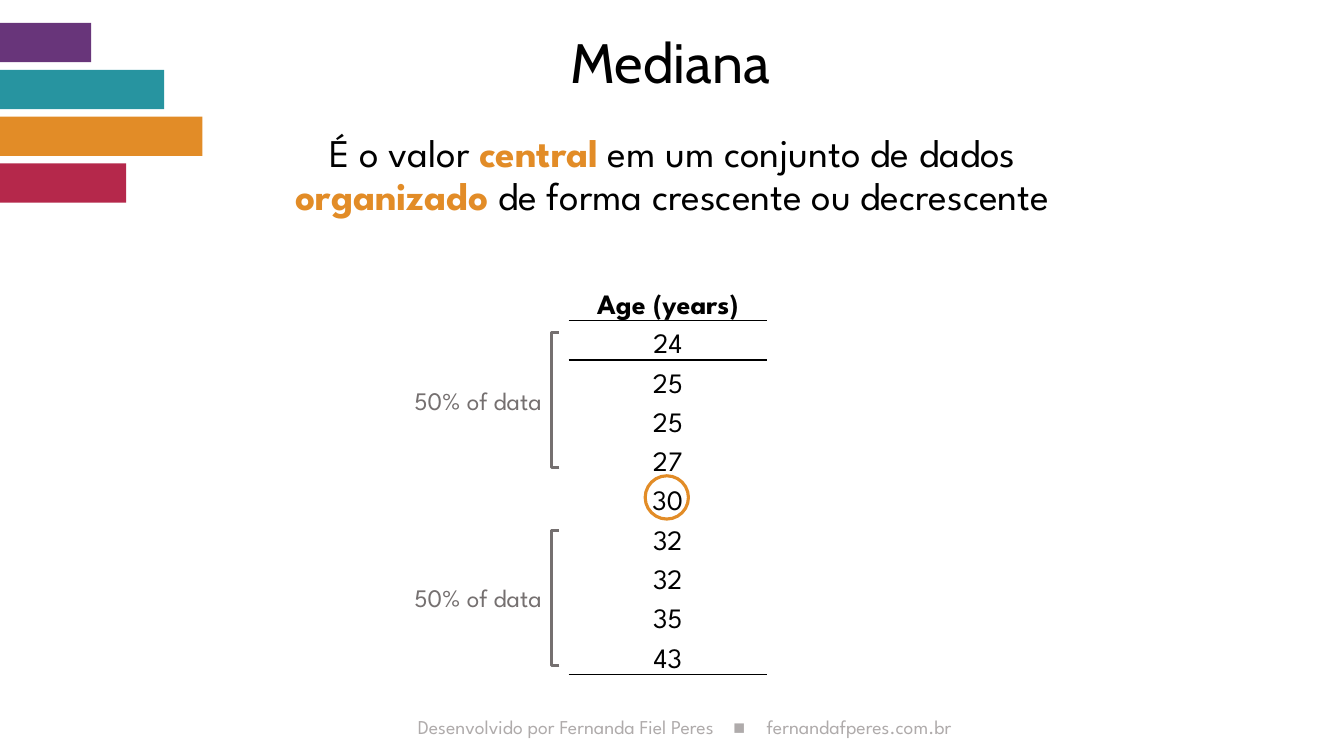
from lxml import etree
from pptx import Presentation
from pptx.dml.color import RGBColor
from pptx.enum.shapes import MSO_SHAPE
from pptx.enum.text import MSO_ANCHOR, PP_ALIGN
from pptx.oxml.ns import qn
from pptx.util import Cm, Pt

RECT, OVAL, BRACE = MSO_SHAPE.RECTANGLE, MSO_SHAPE.OVAL, MSO_SHAPE.LEFT_BRACKET
LEFT, MID, RIGHT = PP_ALIGN.LEFT, PP_ALIGN.CENTER, PP_ALIGN.RIGHT
TOP, CENTRE, BASE = MSO_ANCHOR.TOP, MSO_ANCHOR.MIDDLE, MSO_ANCHOR.BOTTOM

BLACK = RGBColor(0x00, 0x00, 0x00)
GREY = RGBColor(0x75, 0x70, 0x70)
PALE = RGBColor(0xAF, 0xAB, 0xAB)
PURPLE = RGBColor(0x68, 0x35, 0x7A)
TEAL = RGBColor(0x27, 0x94, 0xA0)
ORANGE = RGBColor(0xE2, 0x8C, 0x27)
RED = RGBColor(0xB5, 0x28, 0x4B)

SPARTAN = "League Spartan"
PLAIN_STYLE = "{2D5ABB26-0587-4C30-8999-92F81FD0307C}"

# Content: each run is a text and its own format values
BARS = [(2.3, PURPLE), (4.14, TEAL), (5.1, ORANGE), (3.18, RED)]
TITLE = [("Mediana", {})]
KEY = {"bold": True, "color": ORANGE}
BODY = [
    ("É o valor ", {}),
    ("central", KEY),
    (" em um conjunto de dados ", {}),
    ("organizado", KEY),
    (" de forma crescente ou decrescente", {}),
]
HEAD = "Age (years)"
AGES = [24, 25, 25, 27, 30, 32, 32, 35, 43]
HALF = [("50% of data", {})]
FOOT = [
    ("Desenvolvido por Fernanda Fiel Peres\t", {}),
    ("■\t", {"name": "Arial"}),
    ("fernandafperes.com.br", {}),
]
STOPS = [7.95, 8.79]

# Base formats
TITLE_FONT = {"name": "Cabin", "size": Pt(39.6), "color": BLACK}
BODY_FONT = {"name": SPARTAN, "size": Pt(28), "color": BLACK}
CELL_FONT = {"name": SPARTAN, "size": Pt(20), "color": BLACK, "bold": False}
HALF_FONT = {"name": SPARTAN, "size": Pt(18), "color": GREY}
FOOT_FONT = {"name": SPARTAN, "size": Pt(14), "color": PALE}

# Layout in centimetres
BAR_TOP, BAR_STEP, BAR_HIGH = 0.58, 1.18, 0.99
TAB_LEFT, TAB_TOP, TAB_WIDE = 14.33, 6.73, 5.0
HEAD_HIGH, ROW_HIGH = 1.35, 0.99
RING = 1.09
BRACE_LEFT, BRACE_HIGH = 13.9, 3.4
BRACE_TOPS = [8.38, 13.36]


def write(frame, runs, base, align, **para):
    """Fill the first paragraph of a text frame with formatted runs."""
    line = frame.paragraphs[0]
    line.alignment = align
    for key, value in para.items():
        setattr(line, key, value)
    for text, extra in runs:
        run = line.add_run()
        run.text = text
        for key, value in {**base, **extra}.items():
            if key == "color":
                run.font.color.rgb = value
            else:
                setattr(run.font, key, value)
    return line


def add_text(box, runs, base, align, anchor=TOP, **para):
    frame = slide.shapes.add_textbox(*map(Cm, box)).text_frame
    frame.word_wrap = True
    frame.vertical_anchor = anchor
    return frame, write(frame, runs, base, align, **para)


def add_part(kind, box, fill=None, line=None):
    part = slide.shapes.add_shape(kind, *map(Cm, box))
    part.shadow.inherit = False
    if fill is None:
        part.fill.background()
    else:
        part.fill.solid()
        part.fill.fore_color.rgb = fill
    if line is None:
        part.line.fill.background()
    else:
        part.line.color.rgb = line
        part.line.width = Pt(2.25)
    return part


def add_edge(cell, side, width):
    """Draw one black border of a cell; side is T or B."""
    edge = etree.SubElement(cell._tc.get_or_add_tcPr(), qn("a:ln" + side), w=str(Pt(width)))
    fill = etree.SubElement(edge, qn("a:solidFill"))
    etree.SubElement(fill, qn("a:srgbClr"), val=str(BLACK))


deck = Presentation()
deck.slide_width, deck.slide_height = Cm(33.87), Cm(19.05)
slide = deck.slides.add_slide(deck.slide_layouts[6])

# Footer, spaced with tab stops
frame, line = add_text((10.53, 17.88, 14, 0.86), FOOT, FOOT_FONT, LEFT)
frame.margin_left = 0
tabs = etree.SubElement(line._p.get_or_add_pPr(), qn("a:tabLst"))
for stop in STOPS:
    etree.SubElement(tabs, qn("a:tab"), pos=str(Cm(stop)), algn="l")

# Corner bars
for i, (wide, color) in enumerate(BARS):
    add_part(RECT, (0, BAR_TOP + i * BAR_STEP, wide, BAR_HIGH), fill=color)

# Title and definition
add_text((5.23, 0.84, 23.32, 1.6), TITLE, TITLE_FONT, MID, CENTRE, line_spacing=0.9)
add_text((5.64, 3.25, 22.61, 14.02), BODY, BODY_FONT, MID,
         line_spacing=0.9, space_before=Pt(10))

# Table of ages
rows = [HEAD] + [str(age) for age in AGES]
high = HEAD_HIGH + ROW_HIGH * len(AGES)
table = slide.shapes.add_table(
    len(rows), 1, Cm(TAB_LEFT), Cm(TAB_TOP), Cm(TAB_WIDE), Cm(high)).table
table.first_row = table.horz_banding = False
table._tbl.tblPr.find(qn("a:tableStyleId")).text = PLAIN_STYLE
EDGES = {0: ("B", 1), 1: ("T", 1), len(AGES): ("B", 0.5)}
CELL = {"margin_left": Cm(0.03), "margin_right": Cm(0.03), "margin_top": Cm(0.03),
        "margin_bottom": 0, "vertical_anchor": BASE}
for i, text in enumerate(rows):
    table.rows[i].height = Cm(ROW_HIGH if i else HEAD_HIGH)
    cell = table.cell(i, 0)
    for key, value in CELL.items():
        setattr(cell, key, value)
    write(cell.text_frame, [(text, {"bold": i == 0})], CELL_FONT, MID)
    if i in EDGES:
        add_edge(cell, *EDGES[i])
    cell.fill.background()

# Ring around the median
add_part(OVAL, (16.26, 11.99, RING, RING), line=ORANGE)

# Brackets and labels for the two halves
for top in BRACE_TOPS:
    brace = add_part(BRACE, (BRACE_LEFT, top, 0.2, BRACE_HIGH), line=GREY)
    brace.adjustments[0] = 0
    add_text((BRACE_LEFT - 4.04, top + 1.2, 4.04, 1.02), HALF, HALF_FONT, RIGHT)

deck.save("out.pptx")
